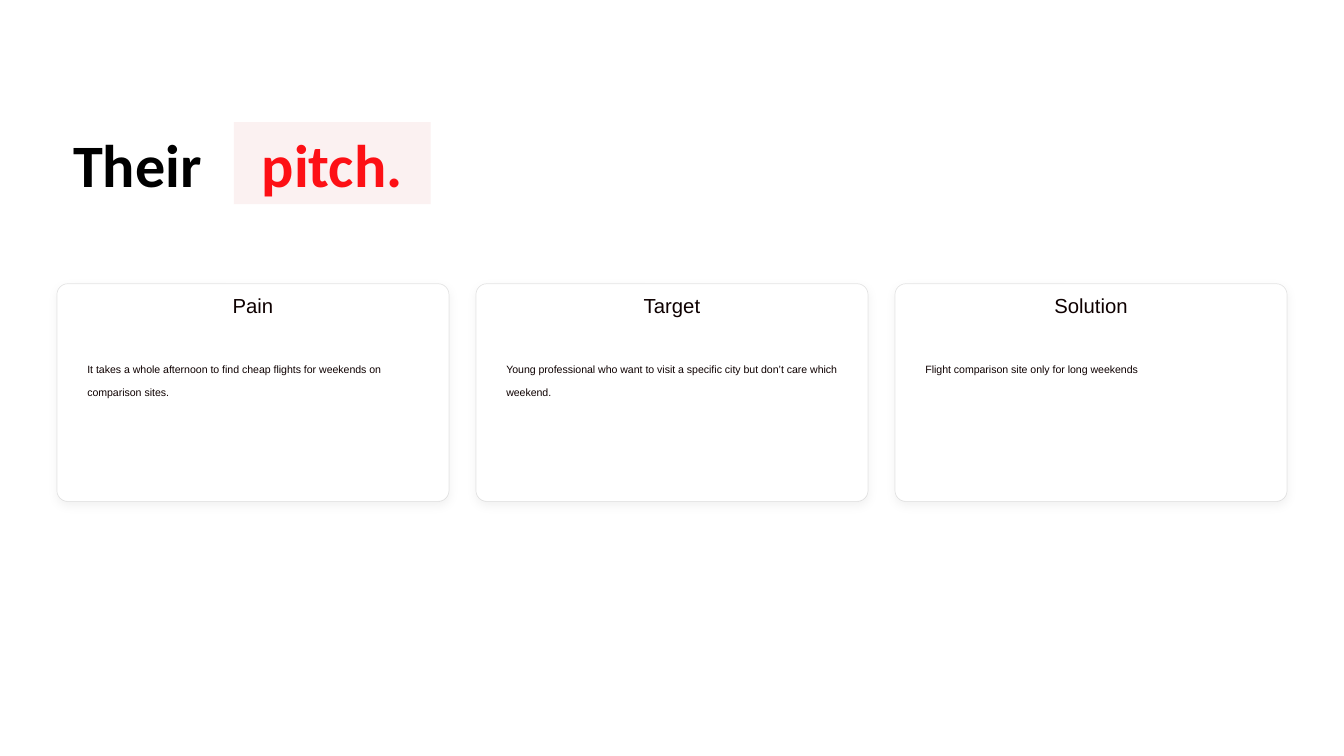
import pptx
import pptx.util
import pptx.dml.color
import pptx.enum.shapes
import pptx.enum.text
import pptx.oxml
import pptx.oxml.ns

Cm, Pt = pptx.util.Cm, pptx.util.Pt
Shape = pptx.enum.shapes.MSO_SHAPE
Align = pptx.enum.text.PP_ALIGN
Anchor = pptx.enum.text.MSO_ANCHOR
qn = pptx.oxml.ns.qn

HEAD = {"name": "Calibri", "size": Pt(86), "bold": True}
LABEL = {"name": "Arial", "size": Pt(50)}
BODY = {"name": "Arial", "size": Pt(26)}
INK = "0E0000"

SHADOW = (
    f'<a:outerShdw {pptx.oxml.ns.nsdecls("a")} blurRad="{Pt(15)}" dist="{Pt(5)}" '
    'dir="5400000" algn="ctr" rotWithShape="0">'
    '<a:srgbClr val="000000"><a:alpha val="5000"/></a:srgbClr></a:outerShdw>'
)


def color(code):
    return pptx.dml.color.RGBColor.from_string(code)


class Deck:
    def __init__(self, width, height):
        self.prs = pptx.Presentation()
        self.prs.slide_width, self.prs.slide_height = Cm(width), Cm(height)
        self.slide = self.prs.slides.add_slide(self.prs.slide_layouts[5])

    def text(self, shape, words, style, ink, align=Align.LEFT,
             anchor=Anchor.TOP, space=1.0, lift=0):
        """Fill a shape with one formatted paragraph; lift is in percent."""
        frame = shape.text_frame
        margins = {f"margin_{side}": Cm(0.15)
                   for side in ("left", "top", "right", "bottom")}
        settings = {"word_wrap": True, "vertical_anchor": anchor,
                    "auto_size": pptx.enum.text.MSO_AUTO_SIZE.NONE, **margins}
        for key, value in settings.items():
            setattr(frame, key, value)
        para = frame.paragraphs[0]
        para.alignment, para.line_spacing = align, space
        run = para.add_run()
        run.text = words
        for key, value in style.items():
            setattr(run.font, key, value)
        run.font.color.rgb = color(ink)
        if lift:
            run._r.get_or_add_rPr().set("baseline", str(lift * 1000))

    def title(self, words, left, top, width, height):
        shape = self.slide.shapes.title
        shape.left, shape.top = Cm(left), Cm(top)
        shape.width, shape.height = Cm(width), Cm(height)
        self.text(shape, words, HEAD, "000000", anchor=Anchor.MIDDLE)

    def block(self, home, kind, fill, left, top, width, height):
        shape = home.add_shape(kind, Cm(left), Cm(top), Cm(width), Cm(height))
        shape.shadow.inherit = False
        shape.fill.solid()
        shape.fill.fore_color.rgb = color(fill)
        shape.line.fill.background()
        return shape

    def badge(self, words, left, top, width, height):
        shape = self.block(self.slide.shapes, Shape.RECTANGLE, "FBF1F1",
                           left, top, width, height)
        self.text(shape, words, HEAD, "FD1015", Align.CENTER, Anchor.MIDDLE)

    def label(self, home, words, left, top, width, height, **look):
        box = home.add_textbox(Cm(left), Cm(top), Cm(width), Cm(height))
        self.text(box, words, ink=INK, space=0.8, **look)

    def card(self, name, words, left, top, width, height):
        home = self.slide.shapes.add_group_shape().shapes
        panel = self.block(home, Shape.ROUNDED_RECTANGLE, "FFFFFF",
                           left, top, width, height)
        panel.adjustments[0] = 0.05
        # Faint outline and soft shadow
        panel.line.width = Pt(1)
        panel.line.color.rgb = color("000000")
        tint = panel.line._ln.find(".//" + qn("a:srgbClr"))
        tint.append(pptx.oxml.parse_xml(
            f'<a:alpha {pptx.oxml.ns.nsdecls("a")} val="10000"/>'))
        effects = panel._element.spPr.find(qn("a:effectLst"))
        effects.append(pptx.oxml.parse_xml(SHADOW))
        # Text inside the card
        inset = 1.38
        inner = width - 2 * inset
        self.label(home, words, left + inset, top + 4.17, inner, 4.95,
                   style=BODY, lift=77)
        self.label(home, name, left + inset, top + 0.71, inner, 3.1,
                   style=LABEL, align=Align.CENTER, lift=40)


CARDS = [
    ("Pain", "It takes a whole afternoon to find cheap flights for weekends "
             "on comparison sites."),
    ("Target", "Young professional who want to visit a specific city but "
               "don’t care which weekend."),
    ("Solution", "Flight comparison site only for long weekends"),
]


def main():
    deck = Deck(67.74, 38.1)

    # Heading with highlighted word
    deck.title("Their", 3.53, 6.15, 7.85, 4.14)
    deck.badge("pitch.", 11.79, 6.15, 9.91, 4.14)

    # Row of three cards
    width, gap = 19.76, 1.36
    for i, (name, words) in enumerate(CARDS):
        deck.card(name, words, 2.87 + i * (width + gap), 14.3, width, 10.97)

    deck.prs.save("out.pptx")


if __name__ == "__main__":
    main()
